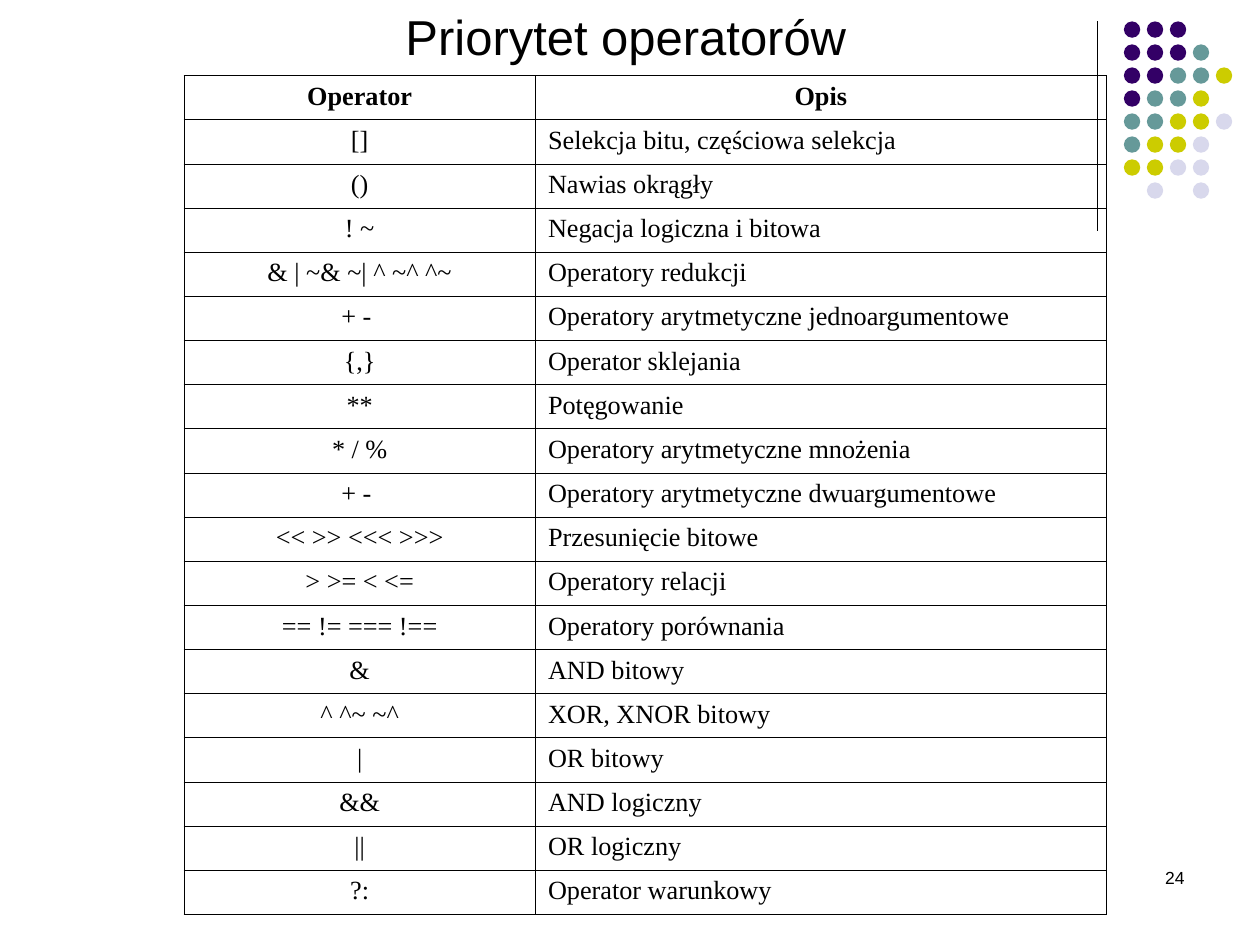
from dataclasses import dataclass

from lxml import etree
from pptx import Presentation
from pptx.dml.color import RGBColor
from pptx.enum import shapes, text
from pptx.oxml.ns import qn
from pptx.util import Inches, Pt

# Content
TITLE = "Priorytet operatorów"
PAGE_NUMBER = "24"
HEADER = ("Operator", "Opis")
OPERATORS = [
    ("[]", "Selekcja bitu, częściowa selekcja"),
    ("()", "Nawias okrągły"),
    ("! ~", "Negacja logiczna i bitowa"),
    ("& | ~& ~| ^ ~^ ^~", "Operatory redukcji"),
    ("+ - ", "Operatory arytmetyczne jednoargumentowe"),
    ("{,}", "Operator sklejania"),
    ("**", "Potęgowanie"),
    ("* / %", "Operatory arytmetyczne mnożenia"),
    ("+ - ", "Operatory arytmetyczne dwuargumentowe"),
    ("<< >> <<< >>>", "Przesunięcie bitowe"),
    ("> >= < <=", "Operatory relacji"),
    ("== != === !==", "Operatory porównania"),
    ("&", "AND bitowy"),
    ("^ ^~ ~^", "XOR, XNOR bitowy"),
    ("|", "OR bitowy"),
    ("&&", "AND logiczny"),
    ("||", "OR logiczny"),
    ("?:", "Operator warunkowy"),
]
# One letter per dot, a dot sign for a gap
DOTS = ["PPP", "PPPT", "PPTTY", "PTTY", "TTYYL", "TYYL", "YYLL", ".L.L"]


@dataclass(frozen=True)
class Theme:
    ink: str = "000000"
    purple: str = "330066"
    teal: str = "669999"
    yellow: str = "CCCC00"
    lilac: str = "D8D8EC"
    sans: str = "Arial"
    serif: str = "Times New Roman"
    title: float = 28
    body: float = 15
    number: float = 10
    rule: float = 0.75
    border: float = 0.45


THEME = Theme()
DOT_COLOURS = {"P": THEME.purple, "T": THEME.teal,
               "Y": THEME.yellow, "L": THEME.lilac}
DOT_LEFT, DOT_TOP, DOT_SIZE, DOT_PITCH = 8.92, 0.17, 0.13, 0.73 / 4
COLUMN_WIDTHS = (2.79, 4.53)
ROW_HEIGHT = 0.35


def style(para, face, size, align, bold=False):
    para.alignment = align
    para.font.name = face
    para.font.size = Pt(size)
    para.font.bold = bold
    para.font.color.rgb = RGBColor.from_string(THEME.ink)


def add_rule(page):
    rule = page.shapes.add_connector(
        shapes.MSO_CONNECTOR.STRAIGHT,
        Inches(8.71), Inches(0.17), Inches(8.71), Inches(1.83))
    rule.line.color.rgb = RGBColor.from_string(THEME.ink)
    rule.line.width = Pt(THEME.rule)
    etree.SubElement(rule._element.spPr, qn("a:effectLst"))


def add_dots(page):
    group = page.shapes.add_group_shape()
    for row, letters in enumerate(DOTS):
        for column, letter in enumerate(letters):
            if letter not in DOT_COLOURS:
                continue
            dot = group.shapes.add_shape(
                shapes.MSO_SHAPE.OVAL,
                Inches(DOT_LEFT + column * DOT_PITCH),
                Inches(DOT_TOP + row * DOT_PITCH),
                Inches(DOT_SIZE), Inches(DOT_SIZE))
            dot.shadow.inherit = False
            dot.fill.solid()
            dot.fill.fore_color.rgb = RGBColor.from_string(DOT_COLOURS[letter])
            dot.line.fill.background()


def add_text(page, words, place, size, align, anchor, wrap):
    box = page.shapes.add_textbox(*(Inches(length) for length in place))
    frame = box.text_frame
    frame.word_wrap = wrap
    frame.vertical_anchor = anchor
    frame.text = words
    style(frame.paragraphs[0], THEME.sans, size, align)
    return frame


def add_borders(cell):
    properties = cell._tc.get_or_add_tcPr()
    for position, side in enumerate(("lnL", "lnR", "lnT", "lnB")):
        line = etree.Element(qn(f"a:{side}"), w=str(Pt(THEME.border)))
        fill = etree.SubElement(line, qn("a:solidFill"))
        etree.SubElement(fill, qn("a:srgbClr"), val=THEME.ink)
        properties.insert(position, line)


def add_operator_table(page):
    rows = [HEADER, *OPERATORS]
    table = page.shapes.add_table(
        len(rows), len(HEADER), Inches(1.46), Inches(0.6),
        Inches(sum(COLUMN_WIDTHS)), Inches(ROW_HEIGHT * len(rows))).table
    table.horz_banding = False
    for column, width in zip(table.columns, COLUMN_WIDTHS):
        column.width = Inches(width)
    for r, row in enumerate(rows):
        table.rows[r].height = Inches(ROW_HEIGHT)
        for c, words in enumerate(row):
            cell = table.cell(r, c)
            cell.fill.background()
            cell.text = words
            centred = r == 0 or c == 0
            align = text.PP_ALIGN.CENTER if centred else text.PP_ALIGN.LEFT
            style(cell.text_frame.paragraphs[0], THEME.serif, THEME.body,
                  align, bold=r == 0)
            add_borders(cell)


def main():
    deck = Presentation()
    deck.slide_width, deck.slide_height = Inches(10), Inches(7.5)
    page = deck.slides.add_slide(deck.slide_layouts[6])

    # Corner decoration
    add_rule(page)
    add_dots(page)

    # Page number and title
    add_text(page, PAGE_NUMBER, (7.17, 6.83, 2.33, 0.5), THEME.number,
             text.PP_ALIGN.RIGHT, text.MSO_ANCHOR.TOP, True)
    title = add_text(page, TITLE, (3.12, 0, 3.8, 0.57), THEME.title,
                     text.PP_ALIGN.LEFT, text.MSO_ANCHOR.MIDDLE, False)
    title.auto_size = text.MSO_AUTO_SIZE.SHAPE_TO_FIT_TEXT

    # Operators from highest to lowest priority
    add_operator_table(page)
    deck.save("out.pptx")


if __name__ == "__main__":
    main()
